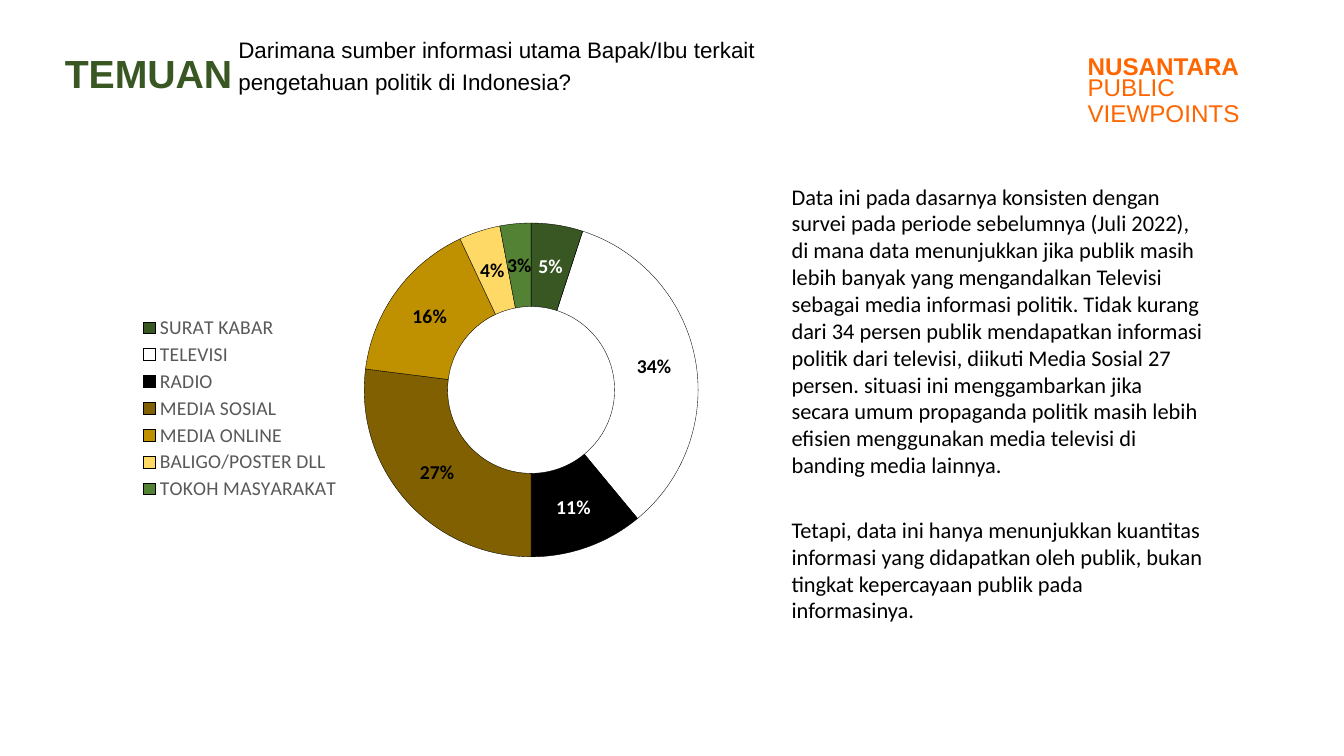
from dataclasses import dataclass

from lxml.etree import SubElement
from pptx import Presentation
from pptx.chart.data import CategoryChartData
from pptx.dml.color import RGBColor
from pptx.enum.chart import XL_CHART_TYPE, XL_LEGEND_POSITION
from pptx.enum.text import MSO_ANCHOR
from pptx.oxml.ns import qn
from pptx.util import Inches, Pt

GREEN = RGBColor(0x38, 0x57, 0x23)
ORANGE = RGBColor(0xFF, 0x66, 0x00)
BLACK = RGBColor(0, 0, 0)
WHITE = RGBColor(0xFF, 0xFF, 0xFF)
GREY = RGBColor(0x59, 0x59, 0x59)
BROWN = RGBColor(0x80, 0x60, 0x00)
GOLD = RGBColor(0xBF, 0x90, 0x00)
YELLOW = RGBColor(0xFF, 0xD9, 0x66)
LEAF = RGBColor(0x54, 0x82, 0x35)

# Source, share in percent, slice colour (None is unfilled), label colour
SOURCES = [
    ("SURAT KABAR", 5, GREEN, WHITE),
    ("TELEVISI", 34, None, BLACK),
    ("RADIO", 11, BLACK, WHITE),
    ("MEDIA SOSIAL", 27, BROWN, BLACK),
    ("MEDIA ONLINE", 16, GOLD, BLACK),
    ("BALIGO/POSTER DLL", 4, YELLOW, BLACK),
    ("TOKOH MASYARAKAT", 3, LEAF, BLACK),
]
FINDINGS = [
    "Data ini pada dasarnya konsisten dengan survei pada periode sebelumnya "
    "(Juli 2022), di mana data menunjukkan jika publik masih lebih banyak yang "
    "mengandalkan Televisi sebagai media informasi politik. Tidak kurang dari 34 "
    "persen publik mendapatkan informasi politik dari televisi, diikuti Media "
    "Sosial 27 persen. situasi ini menggambarkan jika secara umum propaganda "
    "politik masih lebih efisien menggunakan media televisi di banding media lainnya.",
    "Tetapi, data ini hanya menunjukkan kuantitas informasi yang didapatkan oleh "
    "publik, bukan tingkat kepercayaan publik pada informasinya.",
]


@dataclass
class Box:
    left: float
    top: float
    width: float
    height: float

    def inner(self, left, top, width, height):
        """Box inside this one, given in percent of its size."""
        return Box(self.left + self.width * left / 100,
                   self.top + self.height * top / 100,
                   self.width * width / 100, self.height * height / 100)

    def place(self):
        return [Inches(side) for side in (self.left, self.top, self.width, self.height)]


def set_format(target, values):
    for name, value in values.items():
        setattr(target, name, value)


def set_font(font, color, **values):
    set_format(font, values)
    font.color.rgb = color


def add_text(page, box, texts, color, font, spacing, inset=0.1):
    frame = page.shapes.add_textbox(*box.place()).text_frame
    set_format(frame, {
        "word_wrap": True, "vertical_anchor": MSO_ANCHOR.TOP,
        "margin_left": Inches(inset), "margin_right": Inches(0.1),
        "margin_top": Inches(0.05), "margin_bottom": Inches(0.05)})
    for index, text in enumerate(texts):
        para = frame.paragraphs[0] if index == 0 else frame.add_paragraph()
        set_format(para, spacing)
        span = para.add_run()
        span.text = text
        set_font(span.font, color, **font)
    return frame


def set_layout(parent, position, inner=False):
    """Fix the place of a chart element, in shares of the chart."""
    for old in parent.findall(qn("c:layout")):
        parent.remove(old)
    layout = SubElement(parent, qn("c:layout"))
    manual = SubElement(layout, qn("c:manualLayout"))
    entries = [("layoutTarget", "inner")] if inner else []
    entries += [("xMode", "edge"), ("yMode", "edge"), *zip("xywh", position)]
    for name, value in entries:
        SubElement(manual, qn(f"c:{name}")).set("val", str(value))
    return layout


def add_header(page, box):
    tight = {"line_spacing": 0.9, "space_before": Pt(10)}
    # Name of the survey institute, on two lines
    for top, name, bold in ((40, "NUSANTARA", True), (57, "PUBLIC VIEWPOINTS", False)):
        add_text(page, box.inner(80.1, top, 19, 37), [name], ORANGE,
                 {"name": "Arial", "size": Pt(17.3), "bold": bold}, tight, 0.11)
    # Title and question
    add_text(page, box.inner(4, 40, 35.2, 37), ["TEMUAN"], GREEN,
             {"name": "Arial", "size": Pt(28), "bold": True}, tight, 0.11)
    add_text(page, box.inner(17, 21, 47.8, 61),
             ["Darimana sumber informasi utama Bapak/Ibu terkait "
              "pengetahuan politik di Indonesia?"], BLACK,
             {"name": "Arial", "size": Pt(16)}, {"line_spacing": 1.2})


def add_source_chart(page, box):
    data = CategoryChartData()
    data.categories = [source[0] for source in SOURCES]
    data.add_series("Series 1", [source[1] for source in SOURCES])
    chart = page.shapes.add_chart(XL_CHART_TYPE.DOUGHNUT, *box.place(), data).chart
    chart.has_title = False
    set_font(chart.font, BLACK, name="Calibri", size=Pt(10))

    # Legend on the left
    chart.has_legend = True
    set_format(chart.legend, {"position": XL_LEGEND_POSITION.TOP, "include_in_layout": False})
    set_font(chart.legend.font, GREY, name="Calibri", size=Pt(14))
    legend = chart._chartSpace.find(".//" + qn("c:legend"))
    legend.find(qn("c:legendPos")).addnext(set_layout(legend, (0.06, 0.25, 0.34, 0.36)))

    # Ring
    area = chart._chartSpace.find(".//" + qn("c:plotArea"))
    area.insert(0, set_layout(area, (0.45, 0.08, 0.58, 0.63), inner=True))
    area.find(".//" + qn("c:holeSize")).set("val", "50")
    plot = chart.plots[0]
    plot.vary_by_categories = True
    series = plot.series[0]
    labels = series.data_labels
    set_format(labels, {"show_percentage": True, "show_value": False})
    set_font(labels.font, WHITE, name="Calibri", size=Pt(14), bold=True)
    for index, (_, _, fill, label_color) in enumerate(SOURCES):
        point = series.points[index]
        if fill is None:
            point.format.fill.background()
        else:
            point.format.fill.solid()
            point.format.fill.fore_color.rgb = fill
        point.format.line.color.rgb = BLACK
        point.format.line.width = Pt(0.25)
        set_font(point.data_label.font, label_color,
                 name="Calibri", size=Pt(14), bold=True)
    for label in area.iter(qn("c:dLbl")):
        label.find(qn("c:showVal")).set("val", "0")
        label.find(qn("c:showPercent")).set("val", "1")


def add_findings(page, box):
    frame = add_text(page, box, FINDINGS, BLACK, {"name": "Calibri", "size": Pt(16)},
                     {"space_before": Pt(2), "space_after": Pt(2)}, 0.16)
    frame.paragraphs[1].space_before = Pt(25)


deck = Presentation()
deck.slide_width, deck.slide_height = Inches(13.33), Inches(7.5)
page = deck.slides.add_slide(deck.slide_layouts[6])
slide_box = Box(0, 0, 13.33, 7.5)
add_header(page, slide_box.inner(0, 0, 100, 16.4))
add_source_chart(page, slide_box.inner(7.5, 23.9, 45.1, 70.1))
add_findings(page, slide_box.inner(57.7, 23.5, 32.6, 60.3))
deck.save("out.pptx")
